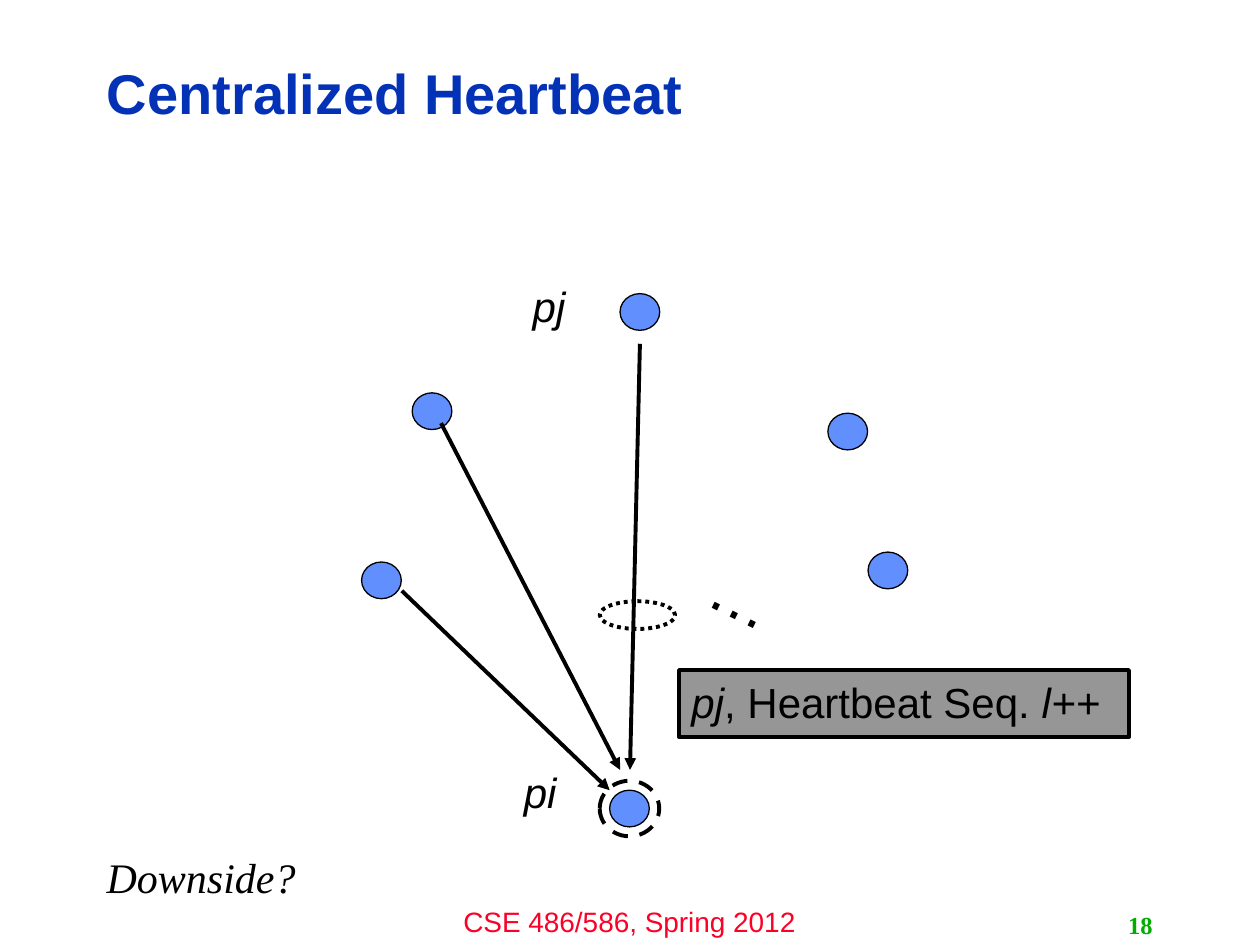
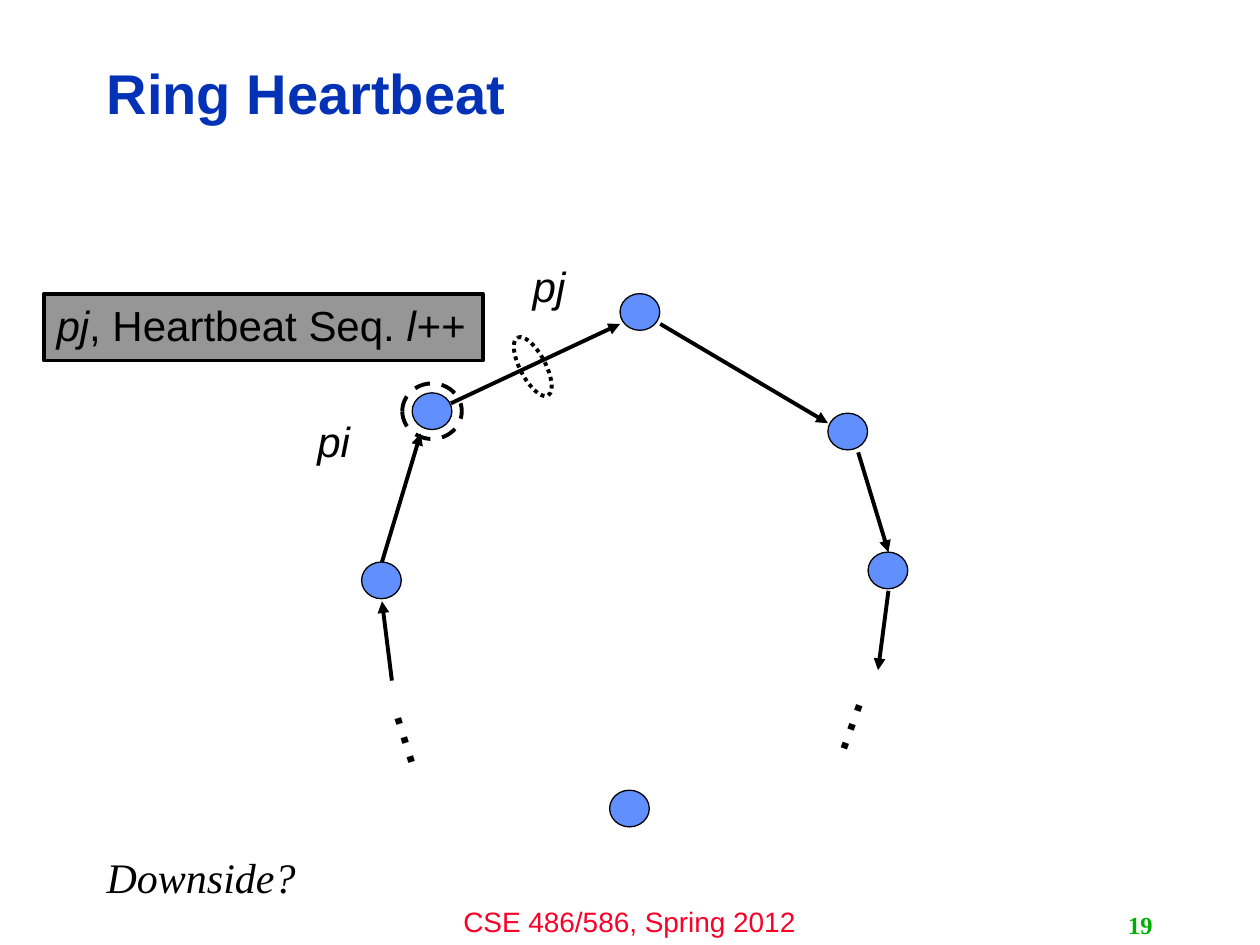
from lxml.etree import SubElement
from pptx import Presentation
from pptx.dml.color import RGBColor
from pptx.enum.dml import MSO_LINE_DASH_STYLE as Dash
from pptx.enum.shapes import MSO_CONNECTOR as Connector, MSO_SHAPE as Shape
from pptx.enum.text import MSO_ANCHOR as Anchor, MSO_AUTO_SIZE as AutoSize, PP_ALIGN as Align
from pptx.oxml.ns import qn
from pptx.util import Cm, Pt

COLORS = {
    "title": "0332B7",
    "footer": "FC0128",
    "number": "00AE00",
    "node": "618FFD",
    "message": "969696",
    "ink": "000000",
}
SANS, SERIF = "Arial", "Times New Roman"
FOOTER = "CSE 486/586, Spring 2012"
QUESTION = "Downside?"
MESSAGE = [("pj", True), (", Heartbeat Seq. ", False), ("l++", True)]

NODES = {
    "upper right": (17.09, 8.7),
    "upper left": (8.71, 8.29),
    "lower left": (7.69, 11.7),
    "lower right": (17.9, 11.5),
    "top": (12.9, 6.29),
    "bottom": (12.69, 16.3),
}
NODE_SIZE = (0.8, 0.74)
RING_SIZE = (1.2, 1.12)
LABEL_SIZE = (1.17, 1.27)
DOTS_SIZE = (1.78, 1.78)

SLIDES = [
    {
        "title": "Centralized Heartbeat",
        "number": "18",
        "monitor": "bottom",
        "arrows": [
            ((8.1, 11.91), (12.29, 15.93)),
            ((8.89, 8.53), (12.5, 15.52)),
            ((12.9, 6.93), (12.7, 15.52)),
        ],
        "dots": [((14.1, 11.13), 26.2)],
        "message": (13.69, 13.51, 9.07, 1.35),
        "marker": {"center": (12.85, 12.4), "size": (0.56, 1.52), "rotation": 90},
        "labels": {"pj": (10.49, 5.54), "pi": (10.31, 15.32)},
    },
    {
        "title": "Ring Heartbeat",
        "number": "19",
        "monitor": "upper left",
        "arrows": [
            ((7.7, 11.33), (8.48, 8.74)),
            ((9.09, 8.13), (12.5, 6.53)),
            ((13.31, 6.53), (16.69, 8.53)),
            ((7.9, 13.72), (7.7, 12.12)),
            ((17.3, 9.12), (17.91, 11.13)),
            ((17.91, 11.91), (17.7, 13.51)),
        ],
        "dots": [((16.69, 13.92), 109.7), ((7.7, 13.92), 72.5)],
        "message": (0.89, 5.92, 8.84, 1.35),
        "marker": {"center": (10.74, 7.39), "size": (1.32, 0.51), "rotation": 62.2},
        "labels": {"pj": (10.49, 5.13), "pi": (6.15, 8.26)},
    },
]


def color(name):
    return RGBColor.from_string(COLORS[name])


def lengths(values):
    return [Cm(value) for value in values]


def write(shape, text, size=24, font=SANS, ink="ink", bold=False, italic=False,
          align=Align.LEFT, anchor=Anchor.TOP, wrap=False, spacing=None):
    frame = shape.text_frame
    frame.word_wrap = wrap
    frame.auto_size = AutoSize.NONE if wrap else AutoSize.SHAPE_TO_FIT_TEXT
    frame.vertical_anchor = anchor
    paragraph = frame.paragraphs[0]
    paragraph.alignment = align
    paragraph.line_spacing = spacing
    runs = [(text, italic)] if isinstance(text, str) else text
    for words, slanted in runs:
        run = paragraph.add_run()
        run.text = words
        run.font.size = Pt(size)
        run.font.name = font
        run.font.bold = bold
        run.font.italic = slanted
        run.font.color.rgb = color(ink)


def add_text(slide, box, text, rotation=0, **style):
    shape = slide.shapes.add_textbox(*lengths(box))
    shape.rotation = rotation
    write(shape, text, **style)


def add_figure(slide, kind, box, fill=None, width=2.25, dash=None, rotation=0):
    shape = slide.shapes.add_shape(kind, *lengths(box))
    shape.shadow.inherit = False
    shape.rotation = rotation
    if fill:
        shape.fill.solid()
        shape.fill.fore_color.rgb = color(fill)
    else:
        shape.fill.background()
    shape.line.color.rgb = color("ink")
    shape.line.width = Pt(width)
    if dash:
        shape.line.dash_style = dash
    return shape


def add_ellipse(slide, center, size, **style):
    (x, y), (width, height) = center, size
    add_figure(slide, Shape.OVAL, (x - width / 2, y - height / 2, width, height), **style)


def add_arrow(slide, start, end):
    arrow = slide.shapes.add_connector(Connector.STRAIGHT, *lengths(start + end))
    arrow.line.color.rgb = color("ink")
    arrow.line.width = Pt(2.25)
    SubElement(arrow.line._get_or_add_ln(), qn("a:tailEnd"), type="triangle")
    SubElement(arrow._element.spPr, qn("a:effectLst"))


def add_frame(slide, title, number):
    heading = slide.shapes.title
    heading.left, heading.top, heading.width, heading.height = lengths((1.9, 0.91, 20.27, 2.06))
    write(heading, title, size=32, ink="title", bold=True, anchor=Anchor.MIDDLE,
          wrap=True, spacing=0.9)
    add_text(slide, (8.46, 18.11, 8.46, 0.94), FOOTER, size=16, ink="footer",
             align=Align.CENTER, wrap=True)
    add_text(slide, (18.21, 18.24, 5.28, 0.81), number, size=14, font=SERIF, ink="number",
             bold=True, align=Align.RIGHT, anchor=Anchor.MIDDLE, wrap=True)
    add_text(slide, (1.9, 17.04, 4.32, 1.27), QUESTION, font=SERIF, italic=True)


def add_diagram(slide, content):
    for center in NODES.values():
        add_ellipse(slide, center, NODE_SIZE, fill="node", width=0.75)
    for start, end in content["arrows"]:
        add_arrow(slide, start, end)
    for position, rotation in content["dots"]:
        add_text(slide, position + DOTS_SIZE, "…", size=36, rotation=rotation)
    message = add_figure(slide, Shape.RECTANGLE, content["message"], fill="message")
    write(message, MESSAGE)
    add_ellipse(slide, **content["marker"], dash=Dash.ROUND_DOT)
    add_ellipse(slide, NODES[content["monitor"]], RING_SIZE, dash=Dash.DASH)
    for label, position in content["labels"].items():
        add_text(slide, position + LABEL_SIZE, label, italic=True)


def main():
    presentation = Presentation()
    presentation.slide_width, presentation.slide_height = Cm(25.4), Cm(19.05)
    for content in SLIDES:
        slide = presentation.slides.add_slide(presentation.slide_layouts[5])
        add_frame(slide, content["title"], content["number"])
        add_diagram(slide, content)
    presentation.save("out.pptx")


if __name__ == "__main__":
    main()
